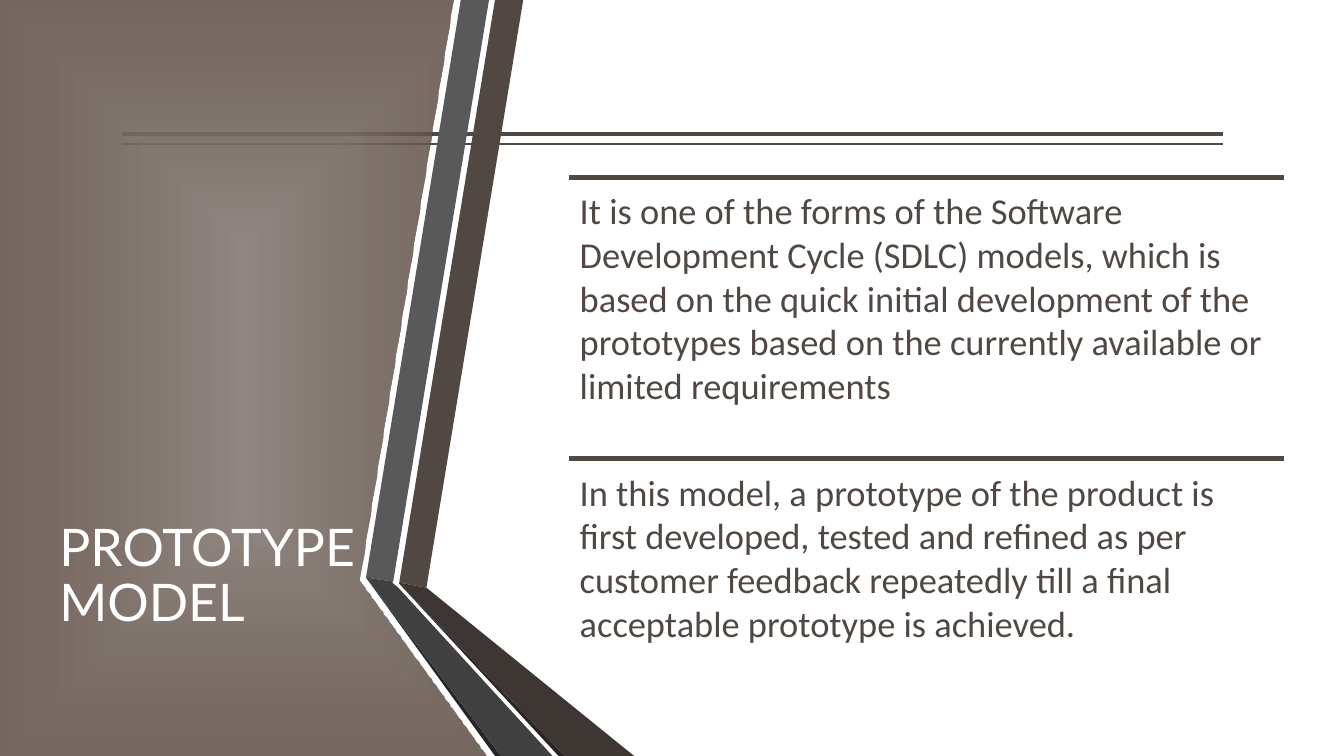
from dataclasses import dataclass
from typing import Any

from lxml.etree import SubElement
from pptx import Presentation
from pptx.dml.color import RGBColor
from pptx.enum.shapes import MSO_CONNECTOR
from pptx.enum.text import MSO_ANCHOR
from pptx.oxml import parse_xml
from pptx.oxml.ns import nsdecls, qn
from pptx.shapes.autoshape import Shape
from pptx.slide import Slide
from pptx.util import Inches, Pt

Point = tuple[float, float]


@dataclass(frozen=True)
class Theme:
    """Colours, fonts and type sizes of the slide."""

    brown: str = "514843"
    brown_fold: str = "3D3632"
    brown_edge: str = "282422"
    grey: str = "595959"
    grey_fold: str = "404040"
    grey_edge: str = "262626"
    panel_center: str = "928883"
    panel_rim: str = "544339"
    white: str = "FFFFFF"
    title_font: str = "Lato"
    body_font: str = "Calibri"
    title_size: float = 37
    body_size: float = 26


@dataclass(frozen=True)
class Rule:
    """A horizontal line."""

    left: float
    right: float
    top: float
    weight: float


@dataclass(frozen=True)
class Band:
    """A filled outline of the folded ribbon."""

    color: str
    points: tuple[Point, ...]


@dataclass(frozen=True)
class TextBlock:
    """A text box with its frame, paragraph and font formats."""

    text: str
    box: tuple[float, float, float, float]
    frame_format: dict[str, Any]
    paragraph_format: dict[str, Any]
    font_format: dict[str, Any]
    color: str


THEME = Theme()
BODY_LEFT, BODY_TOP, BODY_WIDTH, BODY_HEIGHT = 5.64, 1.76, 7.1, 2.79
BODY_INSET = Inches(0.11)

PANEL = ((3.53, 0), (4.49, 0), (3.56, 5.75), (3.56, 5.76), (4.82, 7.5), (0, 7.5), (0, 0))

BANDS = (
    Band(THEME.brown, ((3.96, 5.78), (4.23, 5.83), (5.19, 0), (4.91, 0))),
    Band(THEME.grey, ((4.85, 0), (4.57, 0), (3.63, 5.73), (3.9, 5.77))),
    Band(THEME.grey_edge, ((3.63, 5.73), (4.91, 7.5), (4.97, 7.5))),
    Band(THEME.brown_edge, ((3.96, 5.79), (5.54, 7.5), (5.6, 7.5))),
    Band(THEME.brown_fold, ((3.96, 5.79), (5.6, 7.5), (6.29, 7.5), (4.23, 5.83), (3.96, 5.78))),
    Band(THEME.grey_fold, ((5.48, 7.5), (3.95, 5.83), (3.89, 5.78), (3.9, 5.77),
                           (3.63, 5.73), (4.97, 7.5))),
)

HEADER_RULES = (Rule(1.21, 12.13, 1.33, 3), Rule(1.21, 12.13, 1.43, 1))

TITLE = TextBlock(
    "PROTOTYPE MODEL",
    (0.59, 0.75, 3.04, 5.58),
    {"vertical_anchor": MSO_ANCHOR.BOTTOM, "margin_left": 0, "margin_right": 0},
    {"line_spacing": 0.9},
    {"name": THEME.title_font, "size": Pt(THEME.title_size)},
    THEME.white,
)

STATEMENTS = (
    "It is one of the forms of the Software Development Cycle (SDLC) models, which is based on "
    "the quick initial development of the prototypes based on the currently available or "
    "limited requirements",
    "In this model, a prototype of the product is first developed, tested and refined as per "
    "customer feedback repeatedly till a final acceptable prototype is achieved.",
)


def apply_format(target: Any, values: dict[str, Any]) -> None:
    """Set each named attribute on the target."""
    for name, value in values.items():
        setattr(target, name, value)


def draw_rule(slide: Slide, rule: Rule) -> None:
    """Draw a horizontal rule without shadow."""
    top = Inches(rule.top)
    line = slide.shapes.add_connector(
        MSO_CONNECTOR.STRAIGHT, Inches(rule.left), top, Inches(rule.right), top
    )
    line.line.color.rgb = RGBColor.from_string(THEME.brown)
    line.line.width = Pt(rule.weight)
    SubElement(line._element.spPr, qn("a:effectLst"))


def draw_outline(slide: Slide, points: tuple[Point, ...]) -> Shape:
    """Draw a closed outline without border or shadow."""
    start, *rest = [(Inches(x), Inches(y)) for x, y in points]
    builder = slide.shapes.build_freeform(*start)
    builder.add_line_segments(rest, close=True)
    shape = builder.convert_to_shape()
    shape.shadow.inherit = False
    shape.line.fill.background()
    return shape


def draw_band(slide: Slide, band: Band) -> None:
    """Draw one solid part of the ribbon."""
    shape = draw_outline(slide, band.points)
    shape.fill.solid()
    shape.fill.fore_color.rgb = RGBColor.from_string(band.color)


def draw_panel(slide: Slide) -> None:
    """Draw the title panel with a translucent rectangular gradient."""
    shape = draw_outline(slide, PANEL)
    gradient = parse_xml(
        f'<a:gradFill {nsdecls("a")} rotWithShape="1"><a:gsLst>'
        f'<a:gs pos="0"><a:srgbClr val="{THEME.panel_center}"/></a:gs>'
        f'<a:gs pos="100000"><a:srgbClr val="{THEME.panel_rim}"><a:alpha val="80000"/>'
        '</a:srgbClr></a:gs></a:gsLst><a:path path="rect">'
        '<a:fillToRect l="20000" t="20000" r="20000" b="20000"/></a:path></a:gradFill>'
    )
    shape._element.spPr.find(qn("a:custGeom")).addnext(gradient)


def draw_text(slide: Slide, block: TextBlock) -> None:
    """Draw a wrapped text block."""
    frame = slide.shapes.add_textbox(*map(Inches, block.box)).text_frame
    apply_format(frame, {"word_wrap": True, **block.frame_format})
    paragraph = frame.paragraphs[0]
    paragraph.text = block.text
    apply_format(paragraph, block.paragraph_format)
    font = paragraph.runs[0].font
    apply_format(font, block.font_format)
    font.color.rgb = RGBColor.from_string(block.color)


def draw_statement(slide: Slide, index: int, text: str) -> None:
    """Draw a statement below its heavy rule."""
    top = BODY_TOP + index * BODY_HEIGHT
    draw_rule(slide, Rule(BODY_LEFT, BODY_LEFT + BODY_WIDTH, top, 3.78))
    margins = {f"margin_{side}": BODY_INSET for side in ("left", "top", "right", "bottom")}
    font_format = {"name": THEME.body_font, "size": Pt(THEME.body_size)}
    box = (BODY_LEFT, top, BODY_WIDTH, BODY_HEIGHT)
    draw_text(slide, TextBlock(text, box, margins, {}, font_format, THEME.brown))


def main() -> None:
    """Build and save the presentation."""
    presentation = Presentation()
    apply_format(presentation, {"slide_width": Inches(13.33), "slide_height": Inches(7.5)})
    slide = presentation.slides.add_slide(presentation.slide_layouts[6])
    for rule in HEADER_RULES:
        draw_rule(slide, rule)
    draw_panel(slide)
    for band in BANDS:
        draw_band(slide, band)
    draw_text(slide, TITLE)
    for index, text in enumerate(STATEMENTS):
        draw_statement(slide, index, text)
    presentation.save("out.pptx")


if __name__ == "__main__":
    main()
